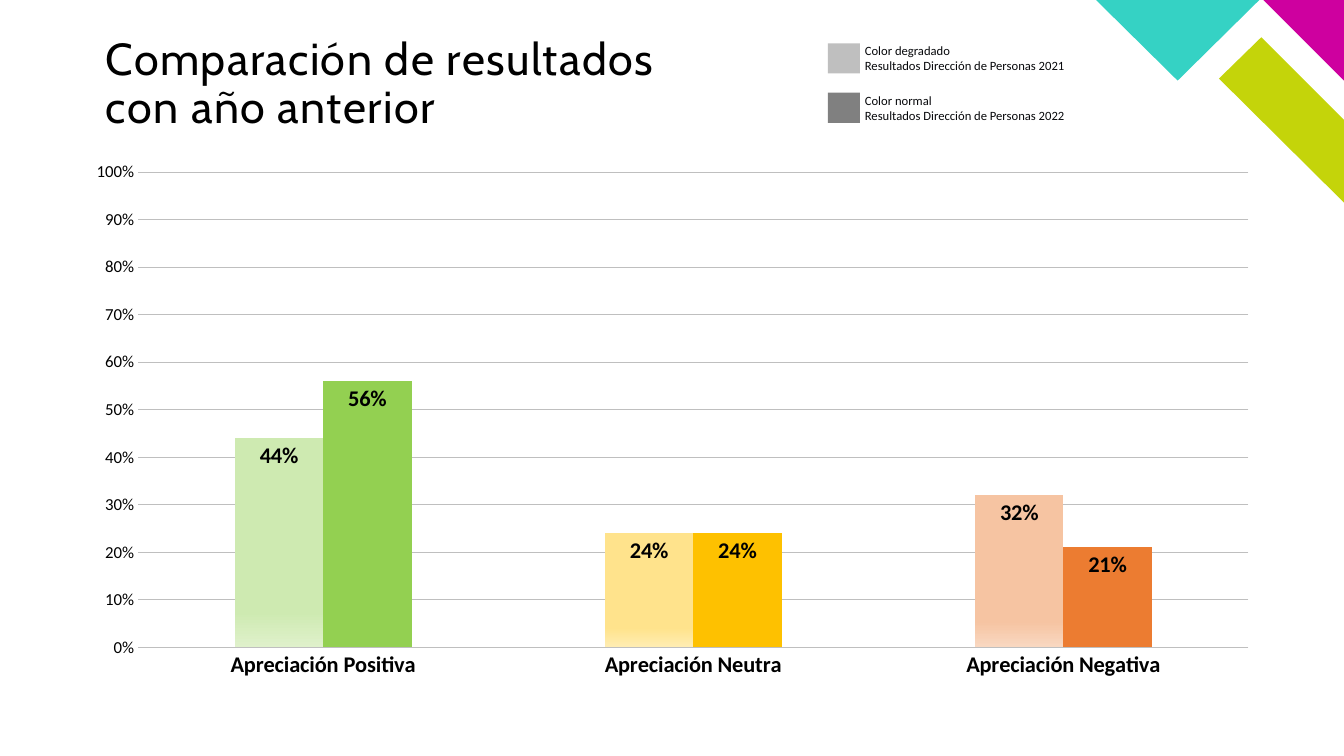
from dataclasses import dataclass

from pptx import Presentation
from pptx import util as u
from pptx.chart.data import CategoryChartData
from pptx.dml.color import RGBColor
from pptx.enum import chart as ch, shapes, text
from pptx.oxml.ns import qn

PX = 9144  # EMU per px, 100 px to the inch


@dataclass(frozen=True)
class Theme:
    black: str = "000000"
    ink: str = "07080B"
    grid: str = "BFBFBF"
    previous: str = "BFBFBF"
    current: str = "808080"
    teal: str = "35D2C4"
    magenta: str = "CE009F"
    lime: str = "C4D40A"
    series_lime: str = "C3D600"
    heading_font: str = "Cabin"
    body_font: str = "Calibri"
    title_size: int = 32
    label_size: int = 16
    tick_size: int = 12
    chart_size: int = 10
    key_size: int = 9


THEME = Theme()


@dataclass(frozen=True)
class Ornament:
    color: str
    corners: tuple[tuple[int, int], ...]


@dataclass(frozen=True)
class KeyEntry:
    color: str
    top: int
    lines: tuple[str, str]


@dataclass(frozen=True)
class Rating:
    name: str
    previous: float
    current: float
    color: str
    pale: str
    palest: str


ORNAMENTS = (
    Ornament(THEME.lime, ((1333, 201), (1333, 119), (1251, 37), (1209, 78))),
    Ornament(THEME.magenta, ((1333, 80), (1333, 0), (1253, 0))),
    Ornament(THEME.teal, ((1087, 0), (1168, 80), (1249, 0))),
)
KEY = (
    KeyEntry(THEME.previous, 43, ("Color degradado", "Resultados Dirección de Personas 2021")),
    KeyEntry(THEME.current, 92, ("Color normal", "Resultados Dirección de Personas 2022")),
)
RATINGS = (
    Rating("Apreciación Positiva", 0.44, 0.56, "93D051", "CEEAB1", "DFF1CB"),
    Rating("Apreciación Neutra", 0.24, 0.24, "FEC100", "FFE38C", "FFEDB2"),
    Rating("Apreciación Negativa", 0.32, 0.21, "EC7C31", "F6C4A2", "F9D8C1"),
)


def px(*lengths: int) -> list[u.Emu]:
    return [u.Emu(length * PX) for length in lengths]


def apply(target, values: dict) -> None:
    for name, value in values.items():
        setattr(target, name, value)


def set_font(font, size: int, color: str = THEME.black,
             name: str = THEME.body_font, bold: bool = False) -> None:
    apply(font, {"name": name, "size": u.Pt(size), "bold": bold})
    font.color.rgb = RGBColor.from_string(color)


def paint(fill, color: str) -> None:
    fill.solid()
    fill.fore_color.rgb = RGBColor.from_string(color)


def style_shape(shape, color: str) -> None:
    paint(shape.fill, color)
    shape.line.fill.background()
    shape.shadow.inherit = False


def add_ornament(page, ornament: Ornament) -> None:
    start, *others = ornament.corners
    builder = page.shapes.build_freeform(*start, scale=PX)
    builder.add_line_segments(others, close=True)
    style_shape(builder.convert_to_shape(), ornament.color)


def add_title(page, wording: str) -> None:
    title = page.shapes.title
    apply(title, dict(zip(("left", "top", "width", "height"), px(105, 36, 592, 114))))
    frame = title.text_frame
    apply(frame, {"margin_left": 0, "margin_top": 0, "margin_right": 0, "margin_bottom": 0,
                  "word_wrap": True, "auto_size": text.MSO_AUTO_SIZE.NONE,
                  "vertical_anchor": text.MSO_ANCHOR.TOP})
    para = frame.paragraphs[0]
    apply(para, {"alignment": text.PP_ALIGN.LEFT, "line_spacing": 0.9})
    span = para.add_run()
    span.text = wording
    set_font(span.font, THEME.title_size, name=THEME.heading_font)
    for properties in title.element.iter(qn("a:rPr")):
        properties.set("spc", "100")


def add_key_entry(page, entry: KeyEntry) -> None:
    swatch = page.shapes.add_shape(shapes.MSO_SHAPE.RECTANGLE, *px(821, entry.top, 32, 30))
    style_shape(swatch, entry.color)
    box = page.shapes.add_textbox(*px(848, entry.top - 5, 350, 40))
    frame = box.text_frame
    frame.word_wrap = True
    frame.text = "\n".join(entry.lines)
    for para in frame.paragraphs:
        set_font(para.runs[0].font, THEME.key_size, THEME.ink)


def style_axes(chart) -> None:
    names, scale = chart.category_axis, chart.value_axis
    for axis in (names, scale):
        apply(axis, {"major_tick_mark": ch.XL_TICK_MARK.NONE,
                     "minor_tick_mark": ch.XL_TICK_MARK.NONE})
    set_font(names.tick_labels.font, THEME.label_size, bold=True)
    set_font(scale.tick_labels.font, THEME.tick_size)
    apply(scale, {"minimum_scale": 0, "maximum_scale": 1, "major_unit": 0.1,
                  "has_major_gridlines": True})
    apply(scale.tick_labels, {"number_format": "0%", "number_format_is_linked": False})
    scale.format.line.fill.background()
    for line, width in ((names.format.line, 0.75), (scale.major_gridlines.format.line, 0.5)):
        paint(line.fill, THEME.grid)
        line.width = u.Pt(width)


def fade(fill, rating: Rating) -> None:
    """Fill a bar with its pale colour, lighter towards the foot."""
    fill.gradient()
    fill.gradient_angle = 270
    stops = ((0.83, rating.pale), (1.0, rating.palest))
    for stop, (position, color) in zip(fill.gradient_stops, stops):
        stop.position = position
        stop.color.rgb = RGBColor.from_string(color)


def add_rating_chart(page) -> None:
    data = CategoryChartData(number_format="0%")
    data.categories = [rating.name for rating in RATINGS]
    data.add_series("Series 1", [rating.previous for rating in RATINGS])
    data.add_series("Series 2", [rating.current for rating in RATINGS])
    chart = page.shapes.add_chart(ch.XL_CHART_TYPE.COLUMN_CLUSTERED,
                                  *px(72, 150, 1190, 534), data).chart
    apply(chart, {"has_title": False, "has_legend": False})
    set_font(chart.font, THEME.chart_size)
    style_axes(chart)
    plot = chart.plots[0]
    apply(plot, {"gap_width": 219, "overlap": 0, "vary_by_categories": False})
    previous, current = plot.series
    for series, color in ((previous, THEME.teal), (current, THEME.series_lime)):
        paint(series.format.fill, color)
        labels = series.data_labels
        apply(labels, {"show_value": True, "position": ch.XL_LABEL_POSITION.INSIDE_END,
                       "number_format": "0%", "number_format_is_linked": False})
        set_font(labels.font, THEME.label_size, bold=True)
    for index, rating in enumerate(RATINGS):
        fade(previous.points[index].format.fill, rating)
        paint(current.points[index].format.fill, rating.color)


def main() -> None:
    deck = Presentation()
    deck.slide_width, deck.slide_height = px(1333, 750)
    page = deck.slides.add_slide(deck.slide_layouts[5])
    for ornament in ORNAMENTS:
        add_ornament(page, ornament)
    add_rating_chart(page)
    for entry in KEY:
        add_key_entry(page, entry)
    add_title(page, "Comparación de resultados con año anterior")
    deck.save("out.pptx")


if __name__ == "__main__":
    main()
